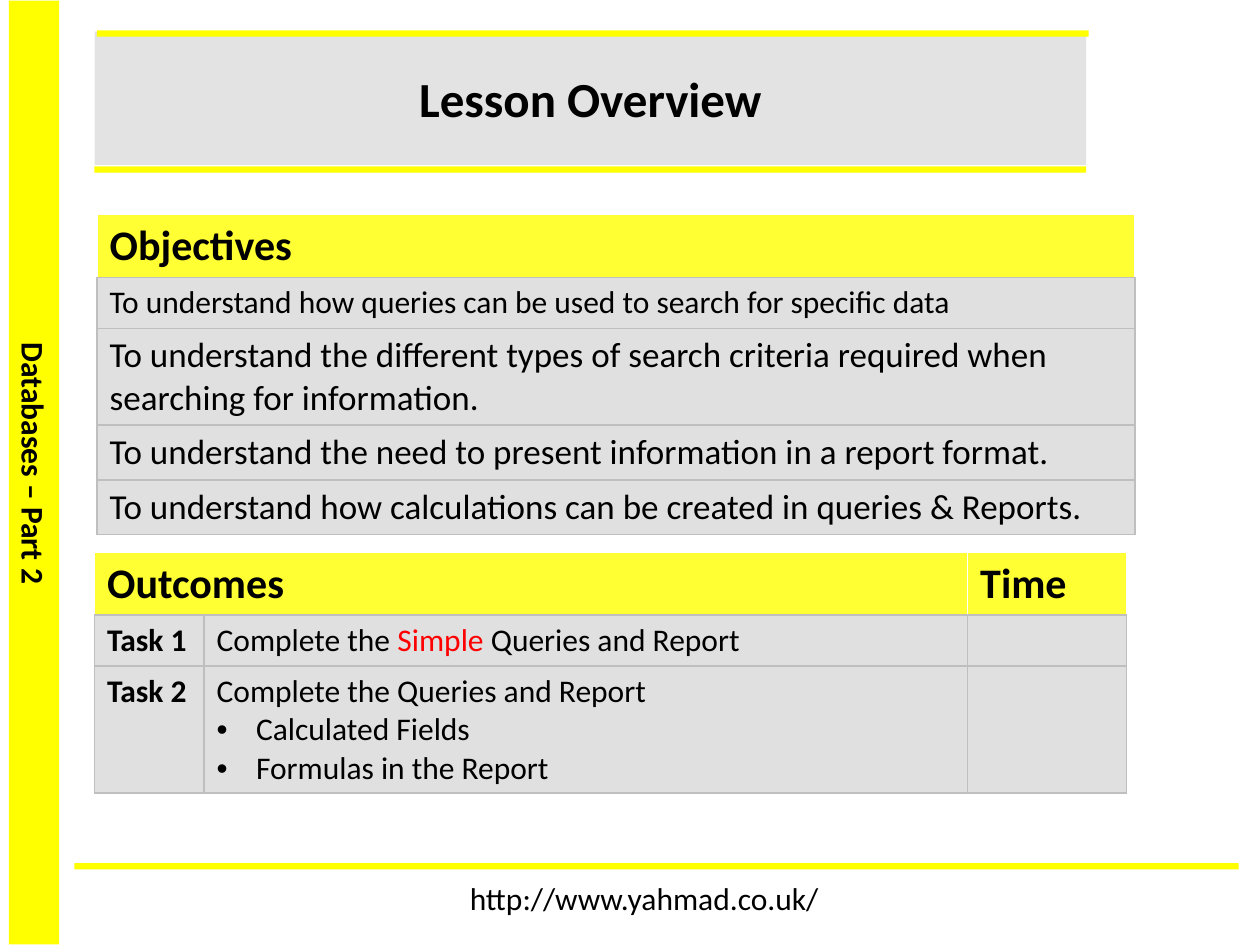
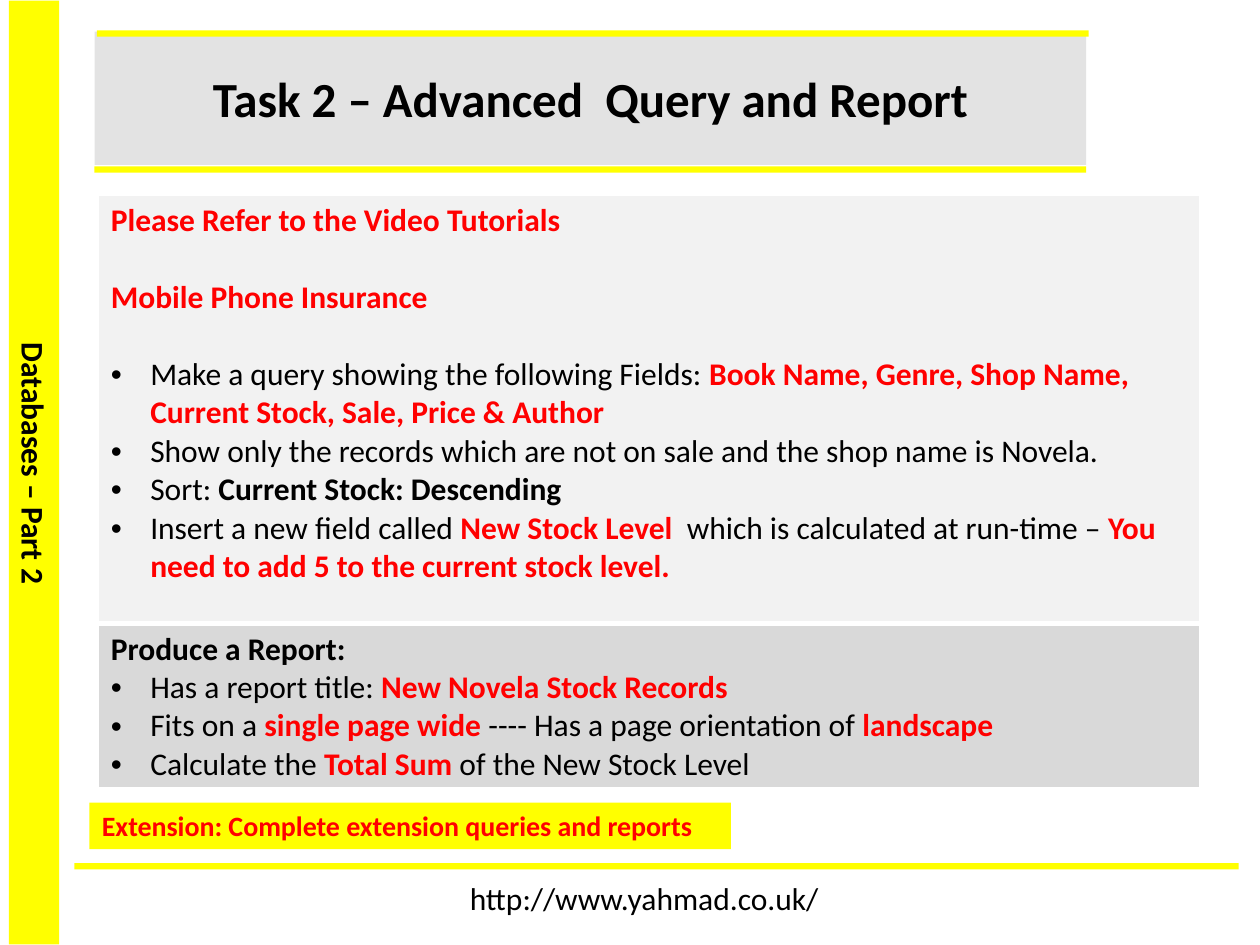
from lxml import etree
from pptx import Presentation
from pptx.dml.color import RGBColor
from pptx.enum.shapes import MSO_SHAPE
from pptx.enum.text import MSO_ANCHOR, PP_ALIGN
from pptx.oxml.ns import qn
from pptx.util import Emu, Inches, Pt

# Enum members
RECTANGLE = MSO_SHAPE.RECTANGLE
MIDDLE = MSO_ANCHOR.MIDDLE
CENTER = PP_ALIGN.CENTER

# Slide and grid: 100 columns by 75 rows of square units
SLIDE_WIDTH, SLIDE_HEIGHT = Inches(10), Inches(7.5)
UNIT = SLIDE_WIDTH / 100
TITLE_ONLY = 5

# Colours
BLACK = RGBColor(0x00, 0x00, 0x00)
RED = RGBColor(0xFF, 0x00, 0x00)
YELLOW = RGBColor(0xFF, 0xFF, 0x00)
WHITE = RGBColor(0xFF, 0xFF, 0xFF)
GREY = RGBColor(0xD9, 0xD9, 0xD9)
PALE_GREY = RGBColor(0xF2, 0xF2, 0xF2)
LINE_GREY = RGBColor(0xBF, 0xBF, 0xBF)

# Text formats
FONT = "Calibri"
BODY_SIZE = 18
BLANK_LINE = 22
BULLET_INDENT = Emu(285750)
PLAIN = {"bold": False, "color": BLACK}
BOLD = {"bold": True, "color": BLACK}
RED_PLAIN = {"bold": False, "color": RED}
RED_BOLD = {"bold": True, "color": RED}

# Cell formats: fill, opacity in percent, borders as (colour, points) for L, R, T, B
WHITE_LINE, GREY_LINE = (WHITE, 1), (LINE_GREY, 1)
HEADER_CELL = {"fill": YELLOW, "opacity": 80,
               "borders": [WHITE_LINE, WHITE_LINE, WHITE_LINE, GREY_LINE]}
BODY_CELL = {"fill": GREY, "opacity": 80, "borders": [GREY_LINE] * 4}
QUERY_CELL = {"fill": PALE_GREY, "opacity": 100,
              "borders": [WHITE_LINE, WHITE_LINE, WHITE_LINE, (WHITE, 3)]}
REPORT_CELL = {"fill": GREY, "opacity": 100,
               "borders": [(WHITE, 3) if side == "T" else WHITE_LINE for side in "LRTB"]}


def grid(*units):
    return [Emu(round(unit * UNIT)) for unit in units]


def line(*runs, size=BODY_SIZE, bullet=False, before=0, align=None):
    """Describe one paragraph; each run is a (text, format) pair."""
    return {"runs": runs, "size": size, "bullet": bullet, "before": before, "align": align}


def bullet(*runs, before=0):
    return line(*runs, bullet=True, before=before)


# Text
def add_bullet(paragraph):
    properties = paragraph._p.get_or_add_pPr()
    properties.set("marL", str(BULLET_INDENT))
    properties.set("indent", str(-BULLET_INDENT))
    etree.SubElement(properties, qn("a:buFont")).set("typeface", "Arial")
    etree.SubElement(properties, qn("a:buChar")).set("char", "•")


def write_text(frame, lines):
    for index, content in enumerate(lines):
        paragraph = frame.add_paragraph() if index else frame.paragraphs[0]
        if content["bullet"]:
            add_bullet(paragraph)
        if content["before"]:
            paragraph.space_before = Pt(content["before"])
        if content["align"] is not None:
            paragraph.alignment = content["align"]
        for text, style in content["runs"]:
            run = paragraph.add_run()
            run.text = text
            values = {"name": FONT, "size": Pt(content["size"]), "bold": style["bold"]}
            for name, value in values.items():
                setattr(run.font, name, value)
            run.font.color.rgb = style["color"]


# Fills and shapes
def set_fill(fill, color, opacity=100):
    fill.solid()
    fill.fore_color.rgb = color
    if opacity < 100:
        color_element = fill._xPr.find(qn("a:solidFill"))[0]
        etree.SubElement(color_element, qn("a:alpha")).set("val", str(opacity * 1000))


def add_band(slide, left, top, width, height):
    band = slide.shapes.add_shape(RECTANGLE, *grid(left, top, width, height))
    band.shadow.inherit = False
    set_fill(band.fill, YELLOW)
    band.line.fill.background()
    return band


def add_text(slide, place, content, wrap=False):
    box = slide.shapes.add_textbox(*grid(*place))
    box.text_frame.word_wrap = wrap
    write_text(box.text_frame, [content])
    return box


# Tables
def set_borders(cell, borders):
    properties = cell._tc.get_or_add_tcPr()
    for side, (color, points) in zip("LRTB", borders):
        border = etree.SubElement(properties, qn(f"a:ln{side}"), w=str(Pt(points)))
        solid = etree.SubElement(border, qn("a:solidFill"))
        etree.SubElement(solid, qn("a:srgbClr"), val=str(color))


def add_table(slide, left, top, columns, rows, contents, formats):
    """Contents hold a list of lines for every cell, formats one entry per row."""
    place = grid(left, top, sum(columns), sum(rows))
    table = slide.shapes.add_table(len(rows), len(columns), *place).table
    table.first_row = table.horz_banding = False
    for column, width in zip(table.columns, grid(*columns)):
        column.width = width
    for row, height, cells, style in zip(table.rows, grid(*rows), contents, formats):
        row.height = height
        for cell, lines in zip(row.cells, cells):
            set_borders(cell, style["borders"])
            set_fill(cell.fill, style["fill"], style["opacity"])
            write_text(cell.text_frame, lines)
    return table


# Shared frame of every slide
def add_title(slide, text):
    title = slide.shapes.title
    place = dict(zip(("left", "top", "width", "height"), grid(7.5, 2.5, 78.7, 10.6)))
    for name, value in place.items():
        setattr(title, name, value)
    set_fill(title.fill, GREY, 72)
    title.text_frame.vertical_anchor = MIDDLE
    write_text(title.text_frame, [line((text, BOLD), size=28, align=CENTER)])
    add_band(slide, 7.5, 13.2, 78.7, 0.5)
    add_band(slide, 7.7, 2.4, 78.7, 0.5)


def add_lesson_slide(presentation, title):
    slide = presentation.slides.add_slide(presentation.slide_layouts[TITLE_ONLY])
    add_band(slide, 0.7, 0.05, 4, 74.9)
    label = add_text(slide, (-8, 34.9, 21.4, 4), line(("Databases – Part 2", BOLD)))
    label.rotation = 90
    add_band(slide, 5.9, 68.5, 92.4, 0.5)
    add_text(slide, (36.3, 69.3, 30.1, 4), line(("http://www.yahmad.co.uk/", PLAIN)))
    add_title(slide, title)
    return slide


# Slides
def build_overview(presentation):
    slide = add_lesson_slide(presentation, "Lesson Overview")

    objectives = [
        line(("Objectives", BOLD), size=24),
        line(("To understand how queries can be used to search for specific data", PLAIN)),
        line(("To understand the different types of search criteria required when "
              "searching for information.", PLAIN), size=20),
        line(("To understand the need to present information in a report format.", PLAIN),
             size=20),
        line(("To understand how calculations can be created in queries & Reports.", PLAIN),
             size=20),
    ]
    add_table(slide, 7.7, 17, [82.4], [4.95, 4.05, 7.7, 4.35, 4.3],
              [[[objective]] for objective in objectives], [HEADER_CELL] + [BODY_CELL] * 4)

    outcomes = [
        [[line(("Outcomes", BOLD), size=24)], [], [line(("Time", BOLD), size=24)]],
        [[line(("Task 1", BOLD))],
         [line(("Complete the ", PLAIN), ("Simple ", RED_PLAIN),
               ("Queries and Report", PLAIN))],
         []],
        [[line(("Task 2", BOLD))],
         [line(("Complete the Queries and Report", PLAIN)),
          bullet(("Calculated Fields", PLAIN)),
          bullet(("Formulas in the Report", PLAIN))],
         []],
    ]
    table = add_table(slide, 7.5, 43.8, [8.7, 60.6, 12.6], [4.95, 4.05, 10.1],
                      outcomes, [HEADER_CELL, BODY_CELL, BODY_CELL])
    table.cell(0, 0).merge(table.cell(0, 1))


def build_task(presentation):
    slide = add_lesson_slide(presentation, "Task 2 – Advanced  Query and Report")

    extension = add_text(slide, (7.1, 63.7, 50.9, 3.7),
                         line(("Extension: Complete extension queries and reports", RED_BOLD),
                              size=16), wrap=True)
    set_fill(extension.fill, YELLOW)

    query = [
        line(("Please Refer to the Video Tutorials", RED_BOLD)),
        line(("Mobile Phone Insurance", RED_BOLD), before=BLANK_LINE),
        bullet(("Make a query showing the following Fields: ", PLAIN),
               ("Book Name, Genre, Shop Name, Current Stock, Sale, Price & Author", RED_BOLD),
               before=BLANK_LINE),
        bullet(("Show only the records which are not on sale and the shop name is Novela.",
                PLAIN)),
        bullet(("Sort: ", PLAIN), ("Current Stock: Descending", BOLD)),
        bullet(("Insert a new field called ", PLAIN), ("New Stock Level  ", RED_BOLD),
               ("which is calculated at run-time – ", PLAIN),
               ("You need to add 5 to the current stock level.", RED_BOLD)),
    ]
    report = [
        line(("Produce a Report:", BOLD)),
        bullet(("Has a report title: ", PLAIN), ("New Novela Stock Records", RED_BOLD)),
        bullet(("Fits on a ", PLAIN), ("single page wide", RED_BOLD),
               (" ---- Has a page orientation of ", PLAIN), ("landscape", RED_BOLD)),
        bullet(("Calculate the ", PLAIN), ("Total Sum", RED_BOLD),
               (" of the New Stock Level", PLAIN)),
    ]
    add_table(slide, 7.8, 15.5, [87.4], [34, 13], [[query], [report]],
              [QUERY_CELL, REPORT_CELL])


def main():
    presentation = Presentation()
    presentation.slide_width, presentation.slide_height = SLIDE_WIDTH, SLIDE_HEIGHT
    build_overview(presentation)
    build_task(presentation)
    presentation.save("out.pptx")


if __name__ == "__main__":
    main()
